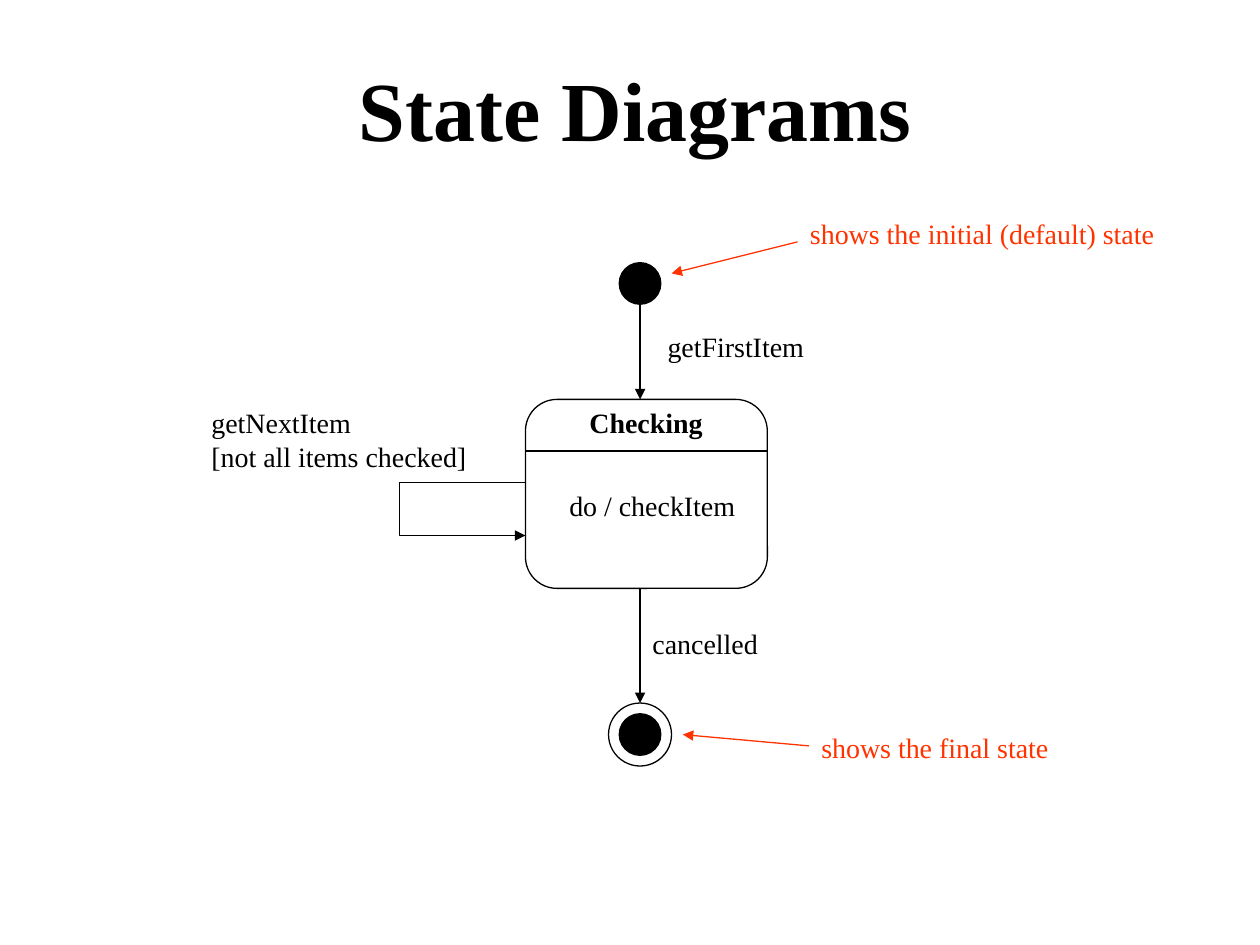
from lxml import etree
from pptx import Presentation
from pptx import util as u
from pptx.dml.color import RGBColor
from pptx.enum import shapes, text
from pptx.oxml import ns

FONT = "Times New Roman"
BLACK = RGBColor(0x00, 0x00, 0x00)
RED = RGBColor(0xFF, 0x33, 0x00)
ROUNDED = shapes.MSO_SHAPE.ROUNDED_RECTANGLE
OVAL = shapes.MSO_SHAPE.OVAL

TITLE = "State Diagrams"
AXIS = 5.08
STATE_LEFT, STATE_TOP, STATE_WIDTH, STATE_HEIGHT = 4.17, 3.17, 1.92, 1.5
STATE_BOTTOM = STATE_TOP + STATE_HEIGHT
INITIAL_Y, FINAL_Y = 2.25, 5.83
DOT, RING = 0.33, 0.5

LABELS = [
    ("Checking", (4.58, 3.17, 1.1, 0.37), BLACK, True),
    ("do / checkItem", (4.42, 3.83, 1.53, 0.37), BLACK, False),
    ("getFirstItem", (5.2, 2.57, 1.3, 0.37), BLACK, False),
    ("cancelled", (5.08, 4.92, 1.04, 0.37), BLACK, False),
    ("getNextItem\n[not all items checked]", (1.58, 3.17, 2.24, 0.64), BLACK, False),
    ("shows the initial (default) state", (6.33, 1.67, 2.95, 0.37), RED, False),
    ("shows the final state", (6.42, 5.75, 2.17, 0.37), RED, False),
]
CIRCLES = [
    (INITIAL_Y, DOT, BLACK),
    (FINAL_Y, DOT, BLACK),
    (FINAL_Y, RING, None),
]
LINES = [
    ((STATE_LEFT, 3.58), (STATE_LEFT + STATE_WIDTH, 3.58), BLACK, False),
    ((AXIS, INITIAL_Y + DOT / 2), (AXIS, STATE_TOP), BLACK, True),
    ((AXIS, STATE_BOTTOM), (AXIS, FINAL_Y - RING / 2), BLACK, True),
    ((6.33, 1.92), (5.33, 2.17), RED, True),
    ((6.42, 5.92), (5.42, 5.83), RED, True),
]
LOOP = [(STATE_LEFT, 3.83), (3.17, 3.83), (3.17, 4.25), (STATE_LEFT, 4.25)]


def inches(values):
    return [u.Inches(value) for value in values]


def write_text(frame, content, size=16, color=BLACK, bold=False, align=text.PP_ALIGN.LEFT):
    frame.text = content
    for paragraph in frame.paragraphs:
        paragraph.alignment = align
        font = paragraph.runs[0].font
        font.name, font.size, font.bold = FONT, u.Pt(size), bold
        font.color.rgb = color


def set_line(shape, color=BLACK, arrow=False):
    shape.line.color.rgb = color
    shape.line.width = u.Pt(0.75)
    if arrow:
        outline = shape.element.spPr.find(ns.qn("a:ln"))
        etree.SubElement(outline, ns.qn("a:tailEnd"), type="triangle")


def set_outline(shape, fill=None, arrow=False):
    shape.shadow.inherit = False
    if fill is None:
        shape.fill.background()
    else:
        shape.fill.solid()
        shape.fill.fore_color.rgb = fill
    set_line(shape, arrow=arrow)


def add_label(slide, content, box, color, bold):
    frame = slide.shapes.add_textbox(*inches(box)).text_frame
    frame.word_wrap = False
    frame.auto_size = text.MSO_AUTO_SIZE.SHAPE_TO_FIT_TEXT
    write_text(frame, content, color=color, bold=bold)


def add_line(slide, start, end, color, arrow):
    connector = slide.shapes.add_connector(
        shapes.MSO_CONNECTOR.STRAIGHT, *inches(start + end))
    set_line(connector, color, arrow)
    etree.SubElement(connector.element.spPr, ns.qn("a:effectLst"))


def main():
    presentation = Presentation()
    presentation.slide_width, presentation.slide_height = inches((10, 7.5))
    slide = presentation.slides.add_slide(presentation.slide_layouts[5])

    title = slide.shapes.title
    title.left, title.top, title.width, title.height = inches((0.79, 0.52, 8.5, 0.67))
    title.text_frame.auto_size = text.MSO_AUTO_SIZE.NONE
    title.text_frame.vertical_anchor = text.MSO_ANCHOR.MIDDLE
    write_text(title.text_frame, TITLE, size=48, bold=True, align=text.PP_ALIGN.CENTER)

    state = slide.shapes.add_shape(
        ROUNDED, *inches((STATE_LEFT, STATE_TOP, STATE_WIDTH, STATE_HEIGHT)))
    state.adjustments[0] = 0.167
    set_outline(state)

    for center, size, fill in CIRCLES:
        box = (AXIS - size / 2, center - size / 2, size, size)
        set_outline(slide.shapes.add_shape(OVAL, *inches(box)), fill)

    for line in LINES:
        add_line(slide, *line)

    corners = [inches(point) for point in LOOP]
    builder = slide.shapes.build_freeform(*corners[0])
    builder.add_line_segments(corners[1:], close=False)
    set_outline(builder.convert_to_shape(), arrow=True)

    for label in LABELS:
        add_label(slide, *label)

    presentation.save("out.pptx")


if __name__ == "__main__":
    main()
